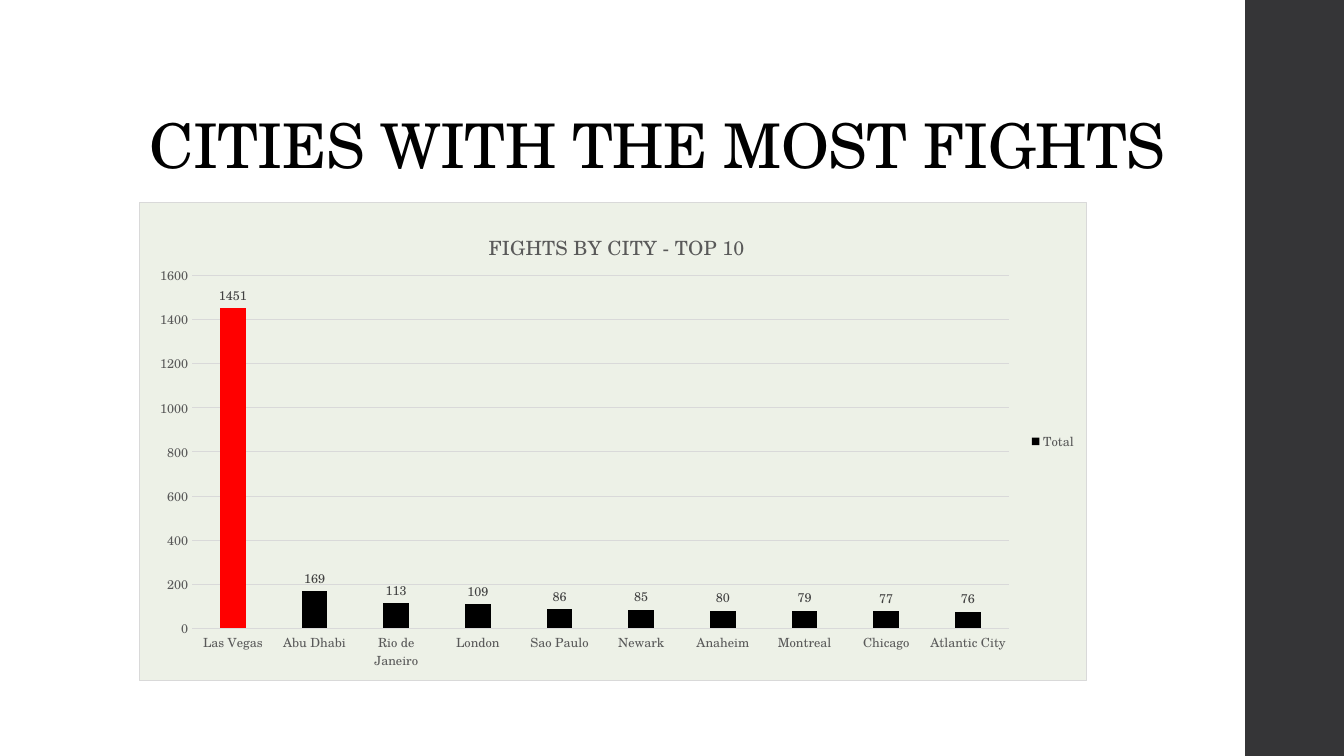
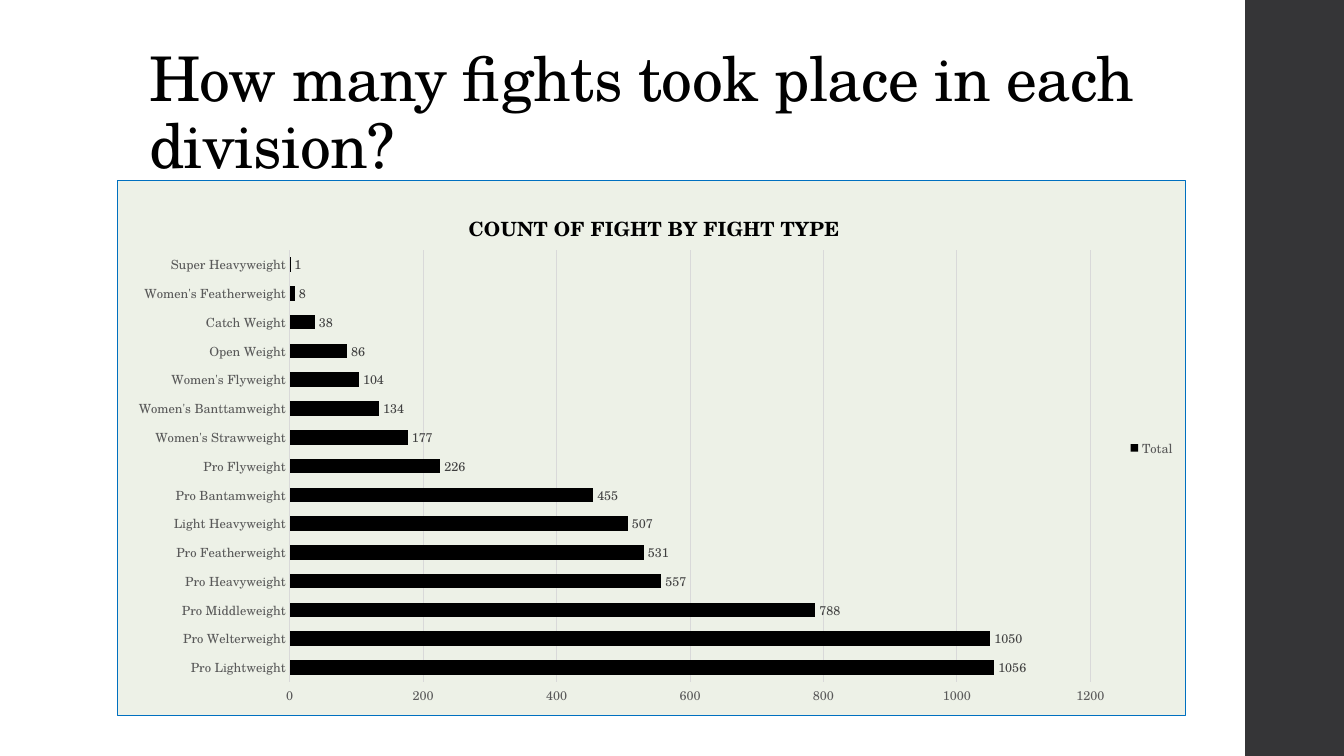
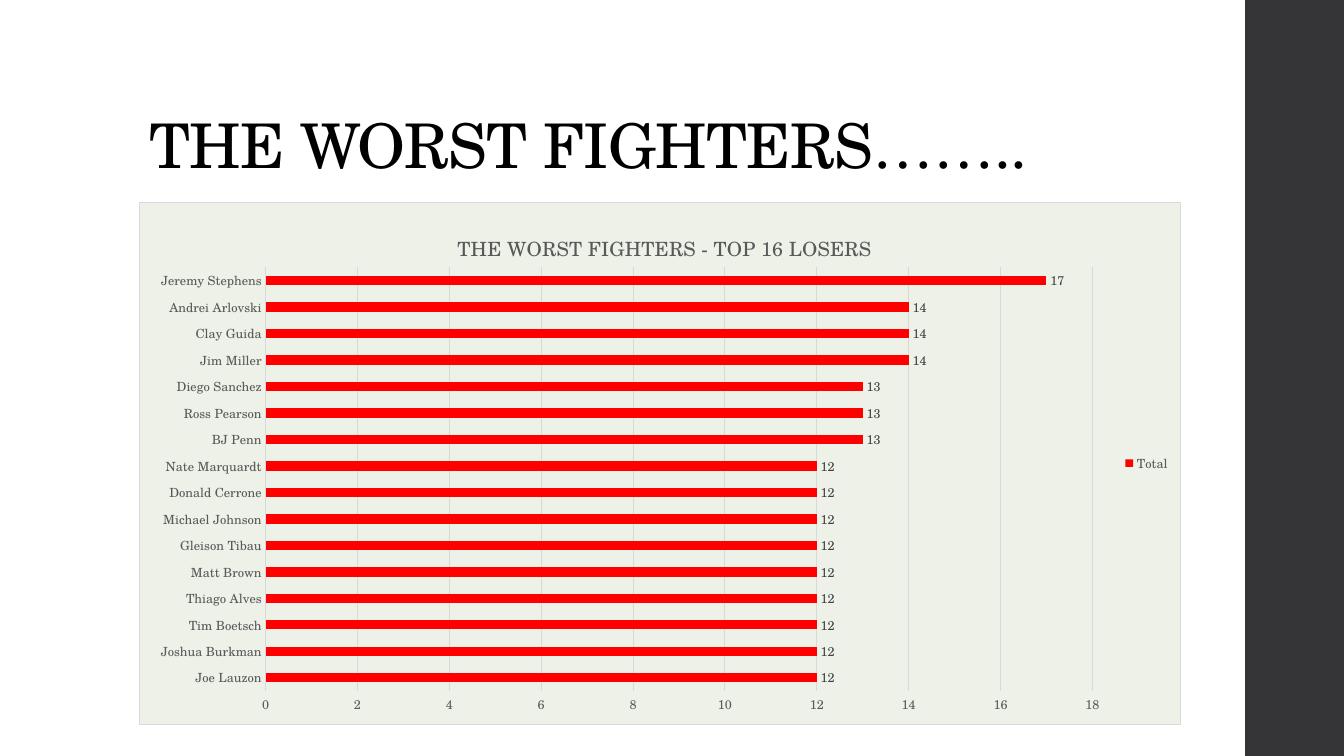
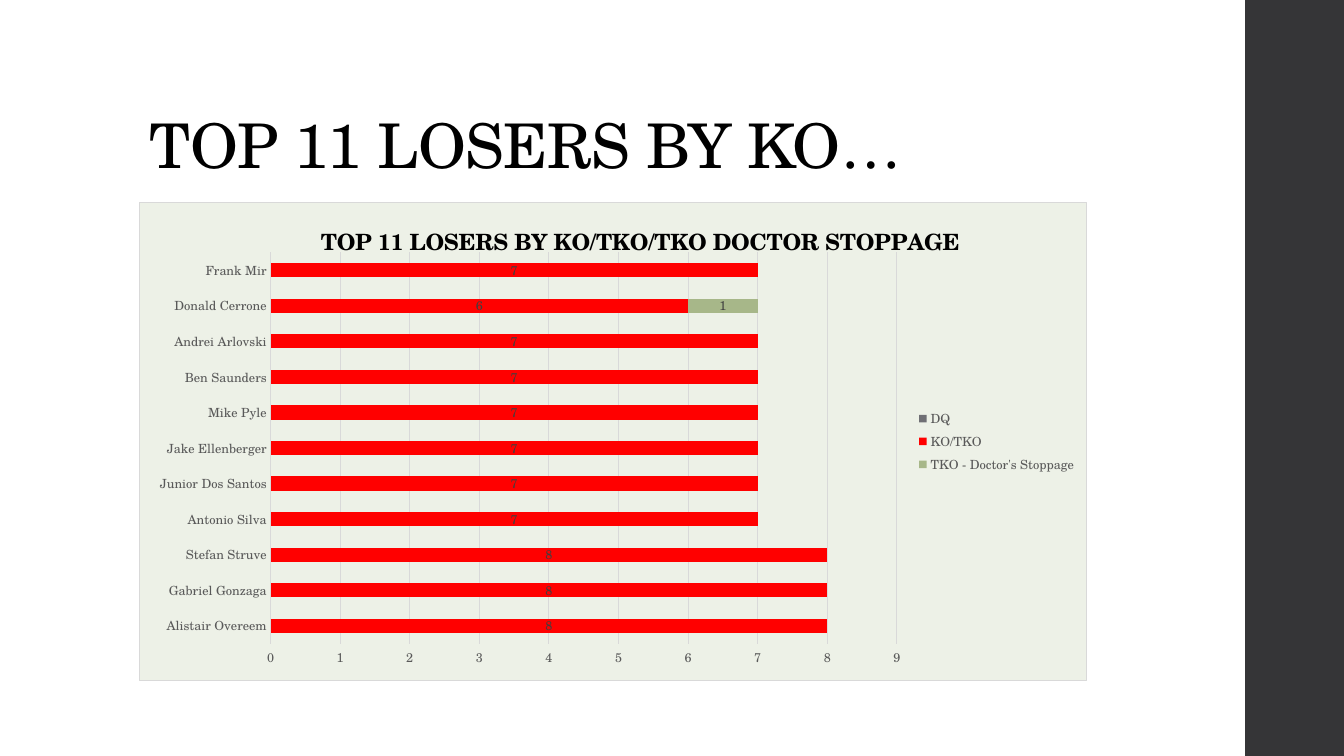
from lxml import etree
from pptx import Presentation
from pptx.chart.data import CategoryChartData
from pptx.dml.color import RGBColor
from pptx.enum.chart import XL_CHART_TYPE, XL_LABEL_POSITION, XL_LEGEND_POSITION, XL_TICK_MARK
from pptx.enum.shapes import MSO_SHAPE
from pptx.enum.text import MSO_ANCHOR, MSO_AUTO_SIZE, PP_ALIGN
from pptx.oxml import parse_xml
from pptx.oxml.ns import nsdecls, qn
from pptx.util import Inches, Pt

COLUMN = XL_CHART_TYPE.COLUMN_CLUSTERED
BAR = XL_CHART_TYPE.BAR_CLUSTERED
STACKED = XL_CHART_TYPE.BAR_STACKED
OUTSIDE = XL_LABEL_POSITION.OUTSIDE_END
CENTER = XL_LABEL_POSITION.CENTER
NO_TICK = XL_TICK_MARK.NONE
LEGEND_RIGHT = XL_LEGEND_POSITION.RIGHT

FONT = "TeX Gyre Schola"
COLORS = {
    "black": "000000", "red": "FF0000", "green": "A7B789", "gray": "6F6F74",
    "band": "353537", "panel": "EDF1E7", "grid": "D9D9D9", "blue": "0070C0",
    "text": "595959", "label": "404040",
}

CITIES = [
    ("Las Vegas", 1451), ("Abu Dhabi", 169), ("Rio de Janeiro", 113),
    ("London", 109), ("Sao Paulo", 86), ("Newark", 85), ("Anaheim", 80),
    ("Montreal", 79), ("Chicago", 77), ("Atlantic City", 76),
]
DIVISIONS = [
    ("Pro Lightweight", 1056), ("Pro Welterweight", 1050),
    ("Pro Middleweight", 788), ("Pro Heavyweight", 557),
    ("Pro Featherweight", 531), ("Light Heavyweight", 507),
    ("Pro Bantamweight", 455), ("Pro Flyweight", 226),
    ("Women's Strawweight", 177), ("Women's Banttamweight", 134),
    ("Women's Flyweight", 104), ("Open Weight", 86), ("Catch Weight", 38),
    ("Women's Featherweight", 8), ("Super Heavyweight", 1),
]
LOSERS = [
    ("Joe Lauzon", 12), ("Joshua Burkman", 12), ("Tim Boetsch", 12),
    ("Thiago Alves", 12), ("Matt Brown", 12), ("Gleison Tibau", 12),
    ("Michael Johnson", 12), ("Donald Cerrone", 12), ("Nate Marquardt", 12),
    ("BJ Penn", 13), ("Ross Pearson", 13), ("Diego Sanchez", 13),
    ("Jim Miller", 14), ("Clay Guida", 14), ("Andrei Arlovski", 14),
    ("Jeremy Stephens", 17),
]
KO_LOSERS = [
    ("Alistair Overeem", None, 8, None), ("Gabriel Gonzaga", None, 8, None),
    ("Stefan Struve", None, 8, None), ("Antonio Silva", None, 7, None),
    ("Junior Dos Santos", None, 7, None), ("Jake Ellenberger", None, 7, None),
    ("Mike Pyle", None, 7, None), ("Ben Saunders", None, 7, None),
    ("Andrei Arlovski", None, 7, None), ("Donald Cerrone", None, 6, 1),
    ("Frank Mir", None, 7, None),
]

SLIDES = [
    dict(title="CITIES WITH THE MOST FIGHTS", kind=COLUMN, rows=CITIES,
         series=[("Total", "black")], highlight=0,
         at=(1.38, 2, 9.4, 4.76), plot=(0.52, 0.73, 8.11, 3.51),
         heading="FIGHTS BY CITY - TOP 10", heading_at=(3.43, 0.24),
         gap=219, overlap=-27, scale=(1600, 200)),
    dict(title="How many fights took place in each division?", kind=BAR,
         rows=DIVISIONS, series=[("Total", "black")],
         at=(1.16, 1.79, 10.6, 5.31), plot=(1.71, 0.69, 7.95, 4.29),
         heading="COUNT OF FIGHT BY FIGHT TYPE", heading_at=(3.45, 0.26),
         bold=True, border="blue", gap=98, overlap=-7, scale=(1200, 200)),
    dict(title="THE WORST FIGHTERS……..", kind=BAR, rows=LOSERS,
         series=[("Total", "red")],
         at=(1.38, 2, 10.33, 5.19), plot=(1.25, 0.65, 8.21, 4.21),
         heading="THE WORST FIGHTERS - TOP 16 LOSERS", heading_at=(3.12, 0.25),
         gap=182, overlap=0, scale=(18, 2)),
    dict(title="TOP 11 LOSERS BY KO…", kind=STACKED, rows=KO_LOSERS,
         series=[("DQ", "gray"), ("KO/TKO", "red"), ("TKO - Doctor's Stoppage", "green")],
         at=(1.38, 2, 9.4, 4.76), plot=(1.3, 0.5, 6.22, 3.89),
         heading="TOP 11 LOSERS BY KO/TKO/TKO DOCTOR STOPPAGE", heading_at=(1.76, 0.15),
         heading_size=16, bold=True, axis_heading=True,
         gap=150, overlap=100, scale=(9, 1)),
]


def rgb(name):
    return RGBColor.from_string(COLORS[name])


def fill(part, color):
    part.fill.solid()
    part.fill.fore_color.rgb = rgb(color)


def style_font(font, size, color, bold=False):
    font.name = FONT
    font.size = Pt(size)
    font.bold = bold
    font.color.rgb = rgb(color)


def style_line(line, color):
    line.color.rgb = rgb(color)
    line.width = Pt(0.75)


def add_band(prs, s):
    band = s.shapes.add_shape(MSO_SHAPE.RECTANGLE, Inches(12.35), 0, Inches(1), prs.slide_height)
    band.shadow.inherit = False
    fill(band, "band")
    band.line.fill.background()
    prs.slide_master.shapes[0].element.addprevious(band.element)


def set_title(s, text):
    title = s.shapes.title
    title.left, title.top, title.width, title.height = map(Inches, (1.38, 0.4, 10.6, 1.45))
    tf = title.text_frame
    tf.text = text
    tf.word_wrap = True
    tf.auto_size = MSO_AUTO_SIZE.NONE
    tf.vertical_anchor = MSO_ANCHOR.BOTTOM
    p = tf.paragraphs[0]
    p.alignment = PP_ALIGN.LEFT
    p.line_spacing = 0.9
    r = p.runs[0]
    style_font(r.font, 44, "black")
    r.font._element.set("spc", "-50")


def place(parent, box, size):
    old = parent.find(qn("c:layout"))
    if old is not None:
        parent.remove(old)
    layout = etree.Element(qn("c:layout"))
    manual = etree.SubElement(layout, qn("c:manualLayout"))
    entries = [("xMode", "edge"), ("yMode", "edge")]
    if len(box) == 4:
        entries.insert(0, ("layoutTarget", "inner"))
    entries += [(key, str(length / size[i % 2])) for i, (key, length) in enumerate(zip("xywh", box))]
    for key, value in entries:
        etree.SubElement(manual, qn("c:" + key)).set("val", value)
    tx = parent.find(qn("c:tx"))
    if tx is None:
        parent.insert(0, layout)
    else:
        tx.addnext(layout)


def set_heading(chart, d):
    on_axis = d.get("axis_heading", False)
    chart.has_title = not on_axis
    heading = chart.value_axis.axis_title if on_axis else chart.chart_title
    tf = heading.text_frame
    tf.text = d["heading"]
    bold = d.get("bold", False)
    style_font(tf.paragraphs[0].runs[0].font, d.get("heading_size", 14),
               "black" if bold else "text", bold)
    place(heading._element, d["heading_at"], d["at"][2:])


def set_panel(chart, border):
    panel = parse_xml(
        f'<c:spPr {nsdecls("c", "a")}>'
        f'<a:solidFill><a:srgbClr val="{COLORS["panel"]}"/></a:solidFill>'
        f'<a:ln w="{Pt(0.75)}"><a:solidFill><a:srgbClr val="{COLORS[border]}"/></a:solidFill></a:ln>'
        '</c:spPr>')
    chart._chartSpace.find(qn("c:chart")).addnext(panel)


def set_axes(chart, scale):
    cat, val = chart.category_axis, chart.value_axis
    for axis in (cat, val):
        axis.major_tick_mark = axis.minor_tick_mark = NO_TICK
        style_font(axis.tick_labels.font, 9, "text")
    cat.has_major_gridlines = False
    style_line(cat.format.line, "grid")
    val.format.line.fill.background()
    val.has_major_gridlines = True
    style_line(val.major_gridlines.format.line, "grid")
    val.minimum_scale = 0
    val.maximum_scale, val.major_unit = scale


def add_bars(s, d):
    names, *columns = zip(*d["rows"])
    data = CategoryChartData()
    data.categories = names
    for (name, _), values in zip(d["series"], columns):
        data.add_series(name, values)
    chart = s.shapes.add_chart(d["kind"], *map(Inches, d["at"]), data).chart
    style_font(chart.font, 10, "black")
    set_panel(chart, d.get("border", "grid"))
    set_axes(chart, d["scale"])
    set_heading(chart, d)
    chart.has_legend = True
    chart.legend.position = LEGEND_RIGHT
    chart.legend.include_in_layout = False
    style_font(chart.legend.font, 9, "text")

    plot = chart.plots[0]
    plot.vary_by_categories = False
    plot.gap_width, plot.overlap = d["gap"], d["overlap"]
    for series, (_, color) in zip(plot.series, d["series"]):
        fill(series.format, color)
        series.invert_if_negative = False
        labels = series.data_labels
        labels.show_value = True
        labels.position = CENTER if d["kind"] == STACKED else OUTSIDE
        style_font(labels.font, 9, "label")
    if "highlight" in d:
        fill(plot.series[0].points[d["highlight"]].format, "red")
    place(chart._chartSpace.find(".//" + qn("c:plotArea")), d["plot"], d["at"][2:])


def main():
    prs = Presentation()
    prs.slide_width, prs.slide_height = Inches(13.33), Inches(7.5)
    for i, d in enumerate(SLIDES):
        s = prs.slides.add_slide(prs.slide_layouts[5])
        if i == 0:
            add_band(prs, s)
        set_title(s, d["title"])
        add_bars(s, d)
    prs.save("out.pptx")


if __name__ == "__main__":
    main()
